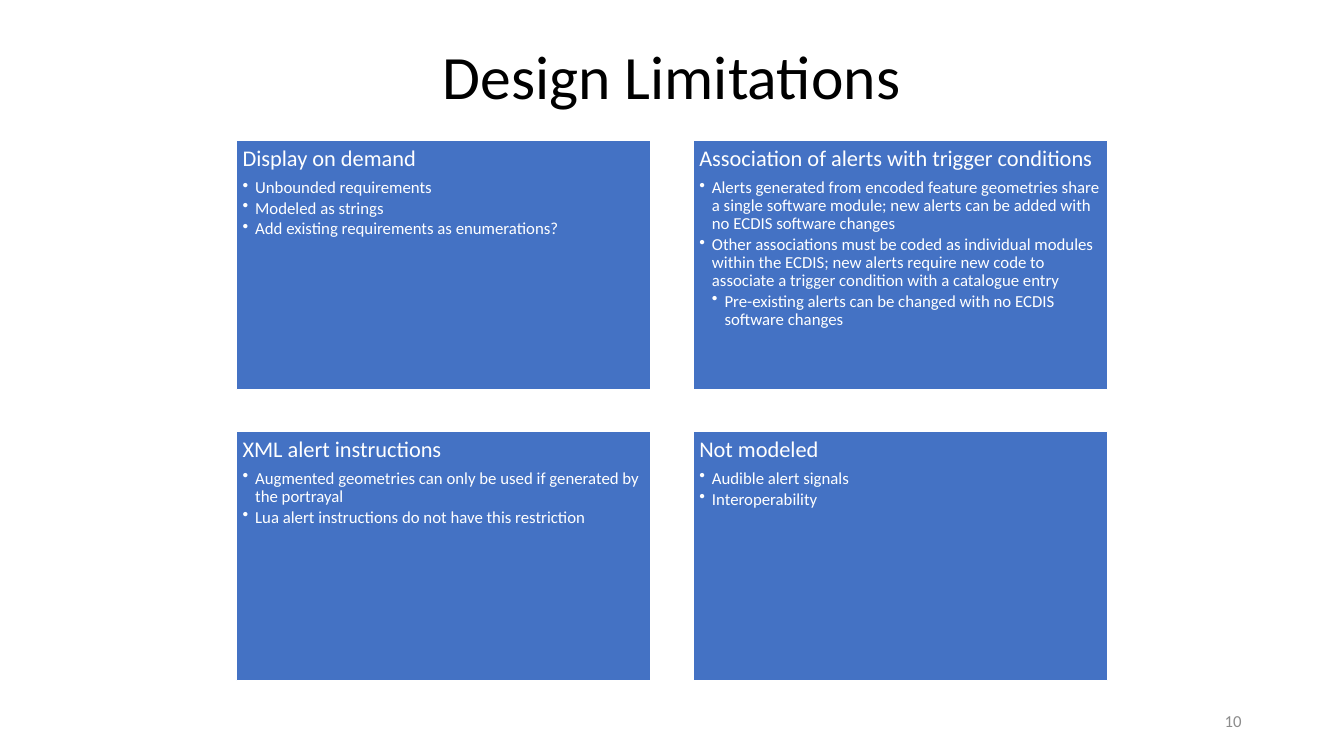
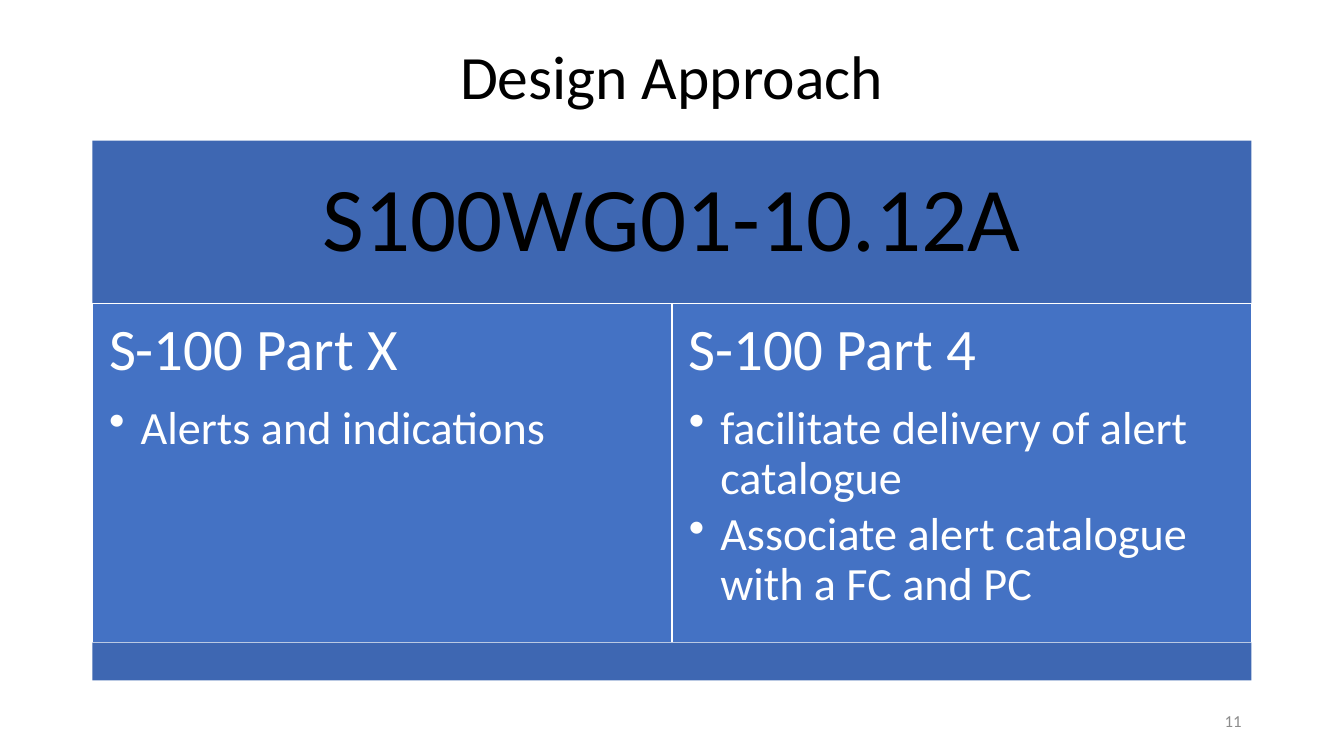
import dataclasses
import typing

import lxml.etree
import pptx
import pptx.dml.color
import pptx.enum.shapes
import pptx.enum.text
import pptx.oxml.ns
import pptx.util

PX = 9525
SLIDE_W, SLIDE_H = 1280, 720
MARGIN, BODY_TOP, BODY_BOTTOM = 88, 134, 648
CONTENT_W = SLIDE_W - 2 * MARGIN
Align = pptx.enum.text.PP_ALIGN
Anchor = pptx.enum.text.MSO_ANCHOR


@dataclasses.dataclass(frozen=True)
class Theme:
    font: str = "Calibri"
    white: str = "FFFFFF"
    black: str = "000000"
    gray: str = "8C8C8C"
    panel: str = "4472C4"
    band: str = "3E67B2"
    title_size: int = 44
    number_size: int = 12
    banner_size: int = 65


@dataclasses.dataclass(frozen=True)
class Box:
    x: int
    y: int
    w: int
    h: int

    def emu(self) -> list[pptx.util.Emu]:
        return [pptx.util.Emu(v * PX) for v in dataclasses.astuple(self)]


@dataclasses.dataclass(frozen=True)
class Bullet:
    text: str
    level: int = 1


@dataclasses.dataclass(frozen=True)
class Panel:
    heading: str
    bullets: tuple[Bullet, ...]


@dataclasses.dataclass(frozen=True)
class PanelStyle:
    heading_size: int
    bullet_size: int
    inset: int
    indent: int


THEME = Theme()
COMPACT = PanelStyle(heading_size=16, bullet_size=12, inset=6, indent=12)
LARGE = PanelStyle(heading_size=42, bullet_size=33, inset=16, indent=30)

LIMITATIONS = (
    Panel("Display on demand", (
        Bullet("Unbounded requirements"),
        Bullet("Modeled as strings"),
        Bullet("Add existing requirements as enumerations?"),
    )),
    Panel("Association of alerts with trigger conditions", (
        Bullet("Alerts generated from encoded feature geometries share a single "
               "software module; new alerts can be added with no ECDIS software changes"),
        Bullet("Other associations must be coded as individual modules within the ECDIS; "
               "new alerts require new code to associate a trigger condition with a "
               "catalogue entry"),
        Bullet("Pre-existing alerts can be changed with no ECDIS software changes", 2),
    )),
    Panel("XML alert instructions", (
        Bullet("Augmented geometries can only be used if generated by the portrayal"),
        Bullet("Lua alert instructions do not have this restriction"),
    )),
    Panel("Not modeled", (
        Bullet("Audible alert signals"),
        Bullet("Interoperability"),
    )),
)
APPROACH = (
    Panel("S-100 Part X", (Bullet("Alerts and indications"),)),
    Panel("S-100 Part 4", (
        Bullet("facilitate delivery of alert catalogue"),
        Bullet("Associate alert catalogue with a FC and PC"),
    )),
)


def rgb(color: str) -> pptx.dml.color.RGBColor:
    """Turn a hex string into a colour."""
    return pptx.dml.color.RGBColor.from_string(color)


def add_bullet(p: typing.Any, level: int, indent: int) -> None:
    """Give a paragraph a hanging bullet."""
    p.level = level
    pPr = p._p.get_or_add_pPr()
    pPr.set("marL", str(level * indent * PX))
    pPr.set("indent", str(-indent * PX))
    bu = lxml.etree.SubElement(pPr, pptx.oxml.ns.qn("a:buChar"))
    bu.set("char", "•")


def write(tf: typing.Any, text: str, *, size: int, color: str,
          align: Align = Align.LEFT, after: float = 0, line: float = 0.9,
          level: int = 0, indent: int = 0) -> None:
    """Append one formatted paragraph to a text frame."""
    p = tf.paragraphs[0]
    if p.runs:
        p = tf.add_paragraph()
    if level:
        add_bullet(p, level, indent)
    p.alignment = align
    p.line_spacing = line
    p.space_before = pptx.util.Pt(0)
    p.space_after = pptx.util.Pt(round(size * after, 1))
    r = p.add_run()
    r.text = text
    r.font.name = THEME.font
    r.font.size = pptx.util.Pt(size)
    r.font.color.rgb = rgb(color)


def set_frame(tf: typing.Any, anchor: Anchor, inset: int | None = None) -> None:
    """Set wrapping, anchor and insets of a text frame."""
    tf.word_wrap = True
    tf.vertical_anchor = anchor
    if inset is not None:
        tf.margin_left = tf.margin_right = pptx.util.Emu(inset * PX)
        tf.margin_top = tf.margin_bottom = pptx.util.Emu(inset * PX)


def add_label(s: typing.Any, box: Box, text: str, **fmt: typing.Any) -> None:
    """Add a vertically centred text box."""
    tf = s.shapes.add_textbox(*box.emu()).text_frame
    set_frame(tf, Anchor.MIDDLE)
    write(tf, text, **fmt)


def add_rect(s: typing.Any, box: Box, fill: str, line: str | None = None) -> typing.Any:
    """Add a flat rectangle and return it."""
    sp = s.shapes.add_shape(pptx.enum.shapes.MSO_SHAPE.RECTANGLE, *box.emu())
    sp.shadow.inherit = False
    sp.fill.solid()
    sp.fill.fore_color.rgb = rgb(fill)
    if line:
        sp.line.color.rgb = rgb(line)
        sp.line.width = pptx.util.Pt(1)
    else:
        sp.line.fill.background()
    return sp


def add_panel(s: typing.Any, box: Box, panel: Panel, style: PanelStyle) -> None:
    """Add a filled panel with a heading and its bullets."""
    tf = add_rect(s, box, THEME.panel, THEME.white).text_frame
    set_frame(tf, Anchor.TOP, style.inset)
    write(tf, panel.heading, size=style.heading_size, color=THEME.white, after=0.35)
    for bullet in panel.bullets:
        write(tf, bullet.text, size=style.bullet_size, color=THEME.white, after=0.15,
              level=bullet.level, indent=style.indent)


def add_slide(prs: typing.Any, title: str, number: int) -> typing.Any:
    """Add a blank slide with its title and page number."""
    s = prs.slides.add_slide(prs.slide_layouts[6])
    add_label(s, Box(MARGIN, 38, CONTENT_W, 76), title,
              size=THEME.title_size, color=THEME.black, align=Align.CENTER)
    add_label(s, Box(904, 667, 288, 38), str(number), size=THEME.number_size,
              color=THEME.gray, align=Align.RIGHT, line=1.0)
    return s


def build_limitations(prs: typing.Any) -> None:
    """Build the two by two grid of limitations."""
    s = add_slide(prs, "Design Limitations", 10)
    left, gap = 225, 40
    w = (SLIDE_W - 2 * left - gap) // 2
    h = (BODY_BOTTOM - BODY_TOP - gap) // 2
    for i, panel in enumerate(LIMITATIONS):
        row, col = divmod(i, 2)
        box = Box(left + col * (w + gap), BODY_TOP + row * (h + gap), w, h)
        add_panel(s, box, panel, COMPACT)


def build_approach(prs: typing.Any) -> None:
    """Build the banner, the two columns and the base band."""
    s = add_slide(prs, "Design Approach", 11)
    banner_h, base_h = 155, 36
    banner = add_rect(s, Box(MARGIN, BODY_TOP, CONTENT_W, banner_h), THEME.band)
    set_frame(banner.text_frame, Anchor.MIDDLE, 26)
    write(banner.text_frame, "S100WG01-10.12A", size=THEME.banner_size,
          color=THEME.black, align=Align.CENTER)
    top = BODY_TOP + banner_h
    base_top = BODY_BOTTOM - base_h
    w = CONTENT_W // len(APPROACH)
    for i, panel in enumerate(APPROACH):
        add_panel(s, Box(MARGIN + i * w, top, w, base_top - top), panel, LARGE)
    add_rect(s, Box(MARGIN, base_top, CONTENT_W, base_h), THEME.band)


def main() -> None:
    """Build and save the presentation."""
    prs = pptx.Presentation()
    prs.slide_width = pptx.util.Emu(SLIDE_W * PX)
    prs.slide_height = pptx.util.Emu(SLIDE_H * PX)
    build_limitations(prs)
    build_approach(prs)
    prs.save("out.pptx")


if __name__ == "__main__":
    main()
